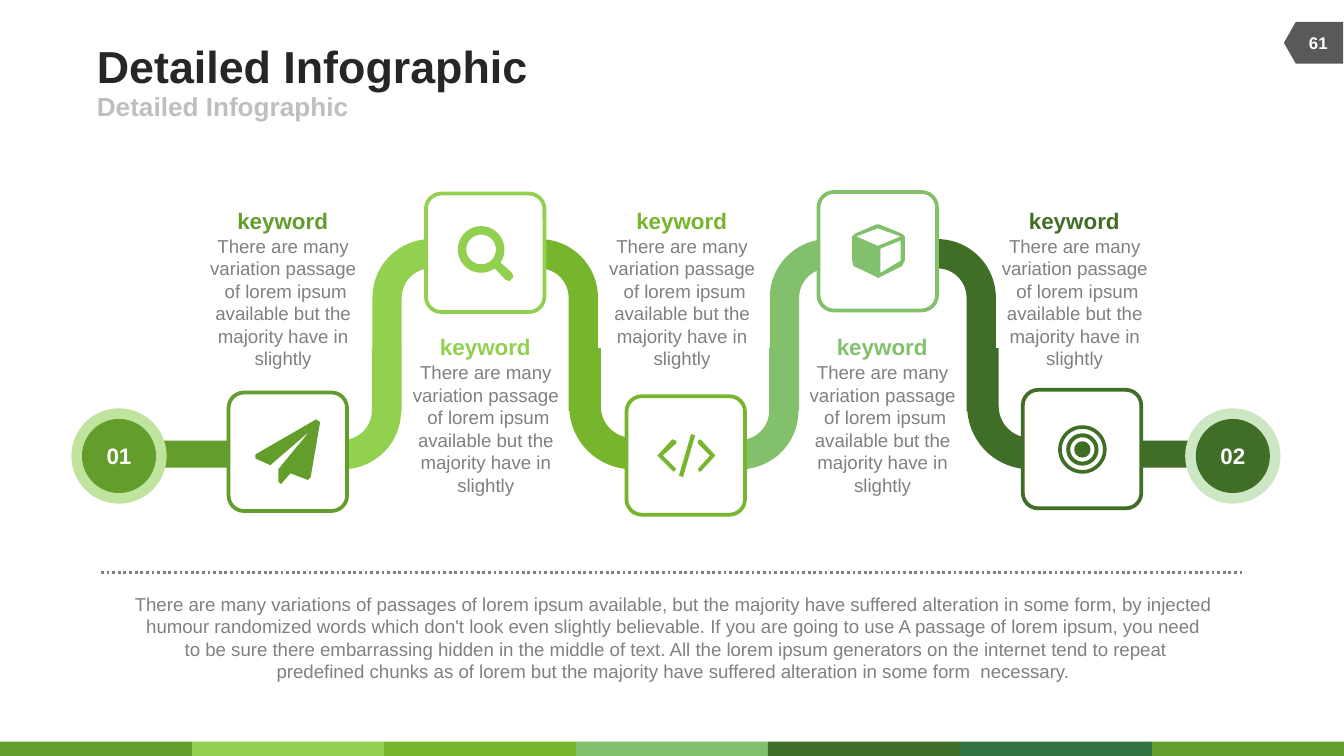
import math
from dataclasses import dataclass

import lxml.etree
import pptx
import pptx.dml.color
import pptx.enum.dml
import pptx.enum.shapes
import pptx.enum.text
import pptx.oxml.ns
import pptx.util

Cm = pptx.util.Cm
KIND = pptx.enum.shapes.MSO_SHAPE
ALIGN = pptx.enum.text.PP_ALIGN
MIDDLE = pptx.enum.text.MSO_ANCHOR.MIDDLE
TOP = pptx.enum.text.MSO_ANCHOR.TOP


@dataclass(frozen=True)
class Theme:
    font: str = "Arial"
    ink: str = "262626"
    pale: str = "BFBFBF"
    grey: str = "808080"
    dark: str = "595959"
    white: str = "FFFFFF"
    leaf: str = "639D2C"
    lime: str = "92D050"
    grass: str = "77B52D"
    sage: str = "82C06C"
    moss: str = "406E26"
    pine: str = "307240"
    head: int = 24
    sub: int = 14
    key: int = 12
    body: int = 10
    page: int = 9


T = Theme()


def arc(x, y, r, start=0, end=360):
    """Points along a circle; an end below the start runs backwards."""
    return [(x + r * math.cos(math.radians(start + (end - start) * i / 48)),
             y + r * math.sin(math.radians(start + (end - start) * i / 48)))
            for i in range(49)]


# Icon outlines on a grid of 88 steps per card side
GRID = 88
PLANE = [[(68, 22), (61, 63), (59, 65), (46, 60), (39, 68), (37, 66), (37, 57),
          (60, 29), (31, 54), (20, 49), (20, 46), (65, 20)]]
LENS = [arc(41, 41.5, 17.3, 54, 394) + [(64, 59), (65, 62), (62, 65), (59, 64)],
        arc(41, 41.5, 11, 360, 0)]
CODE = [[(35, 56), (23, 44), (34, 32), (37, 33), (37, 35), (27, 44), (37, 54)],
        [(42, 60), (39, 59), (48, 28), (51, 29)],
        [(54, 56), (53, 54), (62, 44), (53, 35), (53, 33), (55, 32), (66, 44),
         (55, 56)]]
CUBE = [[(64, 51), (62, 55), (46, 63), (44, 64), (43, 63), (26, 55), (25, 51),
         (25, 33), (27, 31), (43, 24), (45, 24), (62, 31), (64, 33)],
        [(61, 33), (44, 27), (28, 33), (44, 40)],
        [(61, 51), (61, 36), (46, 42), (46, 60)]]
RINGS = [arc(44.3, 44.3, r, *turn) for r, turn in (
    (18, (0, 360)), (15.3, (360, 0)), (12, (0, 360)), (9, (360, 0)), (6, (0, 360)))]

TITLE = "Detailed Infographic"
KEY = "keyword"
NOTE = ("There are many variation passage\v of lorem ipsum available "
        "but the majority have in slightly")
FOOT = ("There are many variations of passages of lorem ipsum available, but the "
        "majority have suffered alteration in some form, by injected humour "
        "randomized words which don't look even slightly believable. If you are "
        "going to use A passage of lorem ipsum, you need\v to be sure there "
        "embarrassing hidden in the middle of text. All the lorem ipsum generators "
        "on the internet tend to repeat\vpredefined chunks as of lorem but the "
        "majority have suffered alteration in some form  necessary.")

# colour, icon, card corner, note corner (cm)
STEPS = [
    (T.leaf, PLANE, (4.32, 7.42), (3.76, 3.91)),
    (T.lime, LENS, (8.05, 3.66), (7.59, 6.3)),
    (T.grass, CODE, (11.84, 7.49), (11.3, 3.91)),
    (T.sage, CUBE, (15.47, 3.63), (15.09, 6.3)),
    (T.moss, RINGS, (19.33, 7.37), (18.72, 3.91)),
]
# colour, left of the upper bend, whether the pipe climbs
PIPES = [(T.lime, 7.04, True), (T.grass, 9.17, False),
         (T.sage, 14.55, True), (T.moss, 16.69, False)]
# text, left, core, halo, left and width of the stub
ENDS = [("01", 1.35, T.leaf, "C0E49E", 2.11, 2.29),
        ("02", 22.4, T.moss, "CDE6C4", 21.59, 1.9)]
STRIP = [T.leaf, T.lime, T.grass, T.sage, T.moss, T.pine, T.leaf]
WIDE, HIGH, CARD = 25.4, 14.29, 2.24


def rgb(tone):
    return pptx.dml.color.RGBColor.from_string(tone)


def paint(shape, fill, line=None):
    shape.shadow.inherit = False
    shape.fill.solid()
    shape.fill.fore_color.rgb = rgb(fill)
    if line:
        shape.line.color.rgb = rgb(line)
        shape.line.width = pptx.util.Pt(2)
    else:
        shape.line.fill.background()


def draw(slide, kind, box, fill, line=None, adj=(), turn=0):
    shape = slide.shapes.add_shape(kind, *map(Cm, box))
    for i, val in enumerate(adj):
        shape.adjustments[i] = val
    shape.rotation = turn
    paint(shape, fill, line)
    return shape


def write(shape, text, size, tone, bold=False, align=ALIGN.CENTER, anchor=MIDDLE,
          wrap=False):
    frame = shape.text_frame
    frame.text = text
    frame.auto_size = pptx.enum.text.MSO_AUTO_SIZE.NONE
    frame.word_wrap = wrap
    frame.vertical_anchor = anchor
    frame.margin_left = frame.margin_right = 0
    frame.margin_top = frame.margin_bottom = 0
    para = frame.paragraphs[0]
    para.alignment = align
    para.space_before = 0
    for run in para.runs:
        run.font.name = T.font
        run.font.size = pptx.util.Pt(size)
        run.font.bold = bold
        run.font.color.rgb = rgb(tone)


def label(slide, box, *args, **opts):
    write(slide.shapes.add_textbox(*map(Cm, box)), *args, **opts)


def heads(slide):
    title, sub = slide.placeholders
    for shape, box, size, tone in (
            (title, (1.83, 0.74, 15.67, 0.99), T.head, T.ink),
            (sub, (1.83, 1.73, 11.43, 0.56), T.sub, T.pale)):
        shape.left, shape.top, shape.width, shape.height = map(Cm, box)
        write(shape, TITLE, size, tone, True, ALIGN.LEFT)
    props = sub.text_frame.paragraphs[0]._p.get_or_add_pPr()
    props.set("marL", "0")
    props.set("indent", "0")
    lxml.etree.SubElement(props, pptx.oxml.ns.qn("a:buNone"))


def pipe(slide, tone, left, climbs):
    """Two bends that overlap in the upright run."""
    bend = (0.26, 0.13, 0, 0.52)
    if climbs:
        parts = [((left, 4.52, 2.13, 3.25), 0),
                 ((left - 1.59, 6.58, 2.13, 2.29), 180)]
    else:
        parts = [((left - 0.56, 5.08, 3.25, 2.13), 90),
                 ((left + 1.59, 6.58, 2.29, 2.29), 270)]
    for box, turn in parts:
        draw(slide, KIND.BENT_ARROW, box, tone, adj=bend, turn=turn)


def icon(slide, loops, left, top, tone):
    def spot(x, y):
        return Cm(left + x * CARD / GRID), Cm(top + y * CARD / GRID)

    pen = None
    for loop in loops:
        first, *rest = [spot(x, y) for x, y in loop]
        if pen is None:
            pen = slide.shapes.build_freeform(*first)
        else:
            pen.move_to(*first)
        pen.add_line_segments(rest, close=True)
    paint(pen.convert_to_shape(), tone)


def step(slide, tone, loops, card, note):
    x, y = note
    label(slide, (x + 0.72, y, 1.73, 0.51), KEY, T.key, tone, True)
    label(slide, (x, y + 0.53, 3.18, 2.57), NOTE, T.body, T.grey,
          anchor=TOP, wrap=True)
    draw(slide, KIND.ROUNDED_RECTANGLE, (*card, CARD, CARD), T.white, tone, (0.13,))
    icon(slide, loops, *card, tone)


def badge(slide, text, left, core, halo):
    draw(slide, KIND.OVAL, (left, 7.72, 1.8, 1.8), halo)
    disc = draw(slide, KIND.OVAL, (left + 0.2, 7.92, 1.4, 1.4), core)
    write(disc, text, T.key, T.white, True)


def rule(slide):
    line = slide.shapes.add_connector(
        pptx.enum.shapes.MSO_CONNECTOR.STRAIGHT,
        Cm(1.91), Cm(10.82), Cm(23.5), Cm(10.82))
    line.line.color.rgb = rgb(T.grey)
    line.line.width = pptx.util.Pt(1.5)
    line.line.dash_style = pptx.enum.dml.MSO_LINE.ROUND_DOT
    lxml.etree.SubElement(line._element.spPr, pptx.oxml.ns.qn("a:effectLst"))


def main():
    deck = pptx.Presentation()
    deck.slide_width, deck.slide_height = Cm(WIDE), Cm(HIGH)
    slide = deck.slides.add_slide(deck.slide_layouts[1])
    heads(slide)
    part = WIDE / len(STRIP)
    for i, tone in enumerate(STRIP):
        draw(slide, KIND.RECTANGLE, (i * part, 14.02, part, 0.27), tone)
    draw(slide, KIND.FLOWCHART_OFFPAGE_CONNECTOR, (24.43, 0.25, 0.79, 1.12),
         T.dark, turn=90)
    label(slide, (24.38, 0.43, 1.07, 0.76), "61", T.page, T.white, True)
    for item in PIPES:
        pipe(slide, *item)
    for *_, core, _, left, width in ENDS:
        draw(slide, KIND.RIGHT_ARROW, (left, 8.33, width, 0.51), core, adj=(1, 0))
    for item in STEPS:
        step(slide, *item)
    for text, left, core, halo, *_ in ENDS:
        badge(slide, text, left, core, halo)
    rule(slide)
    label(slide, (1.93, 11.2, 21.56, 1.7), FOOT, T.body, T.grey,
          anchor=TOP, wrap=True)
    deck.save("out.pptx")


if __name__ == "__main__":
    main()
